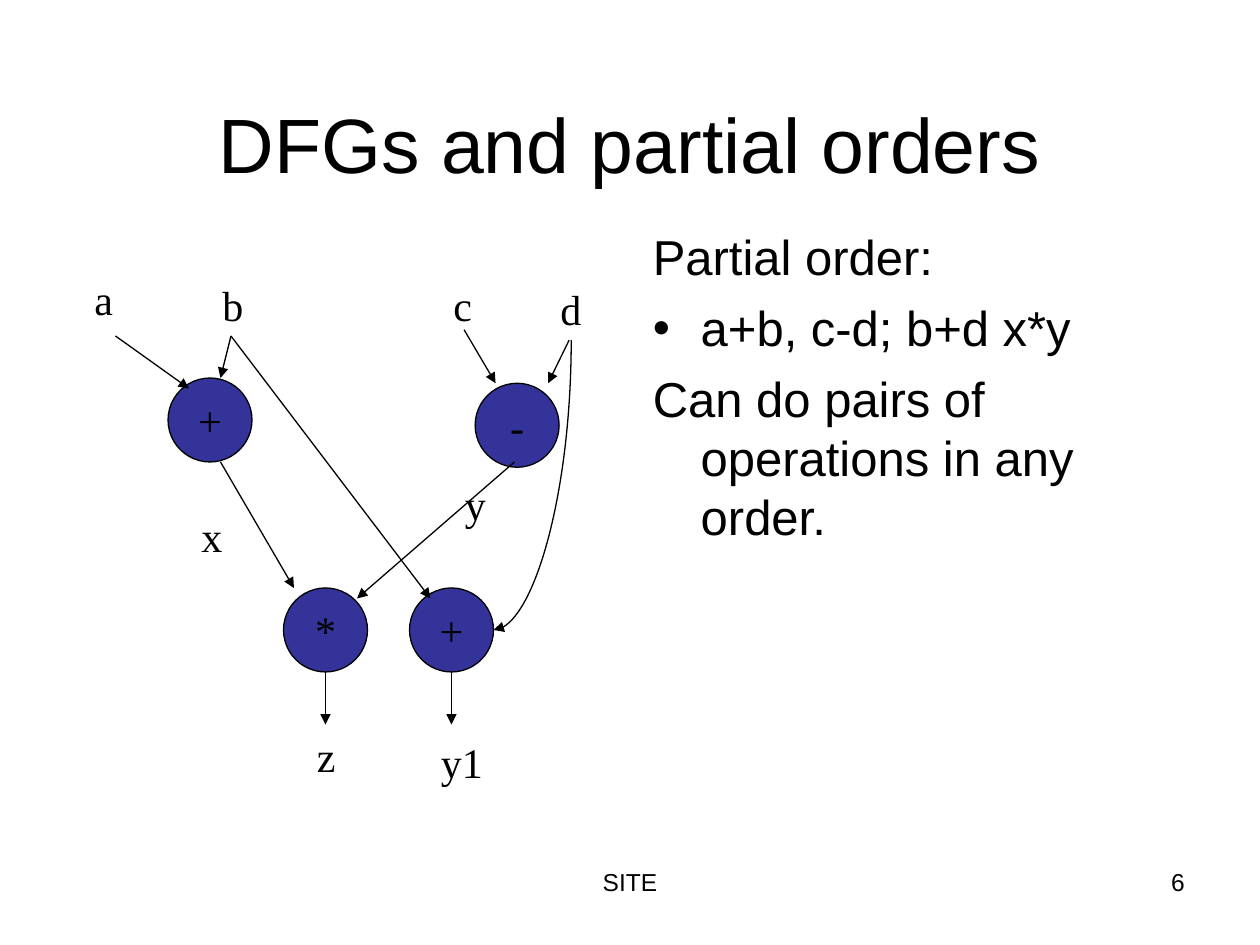
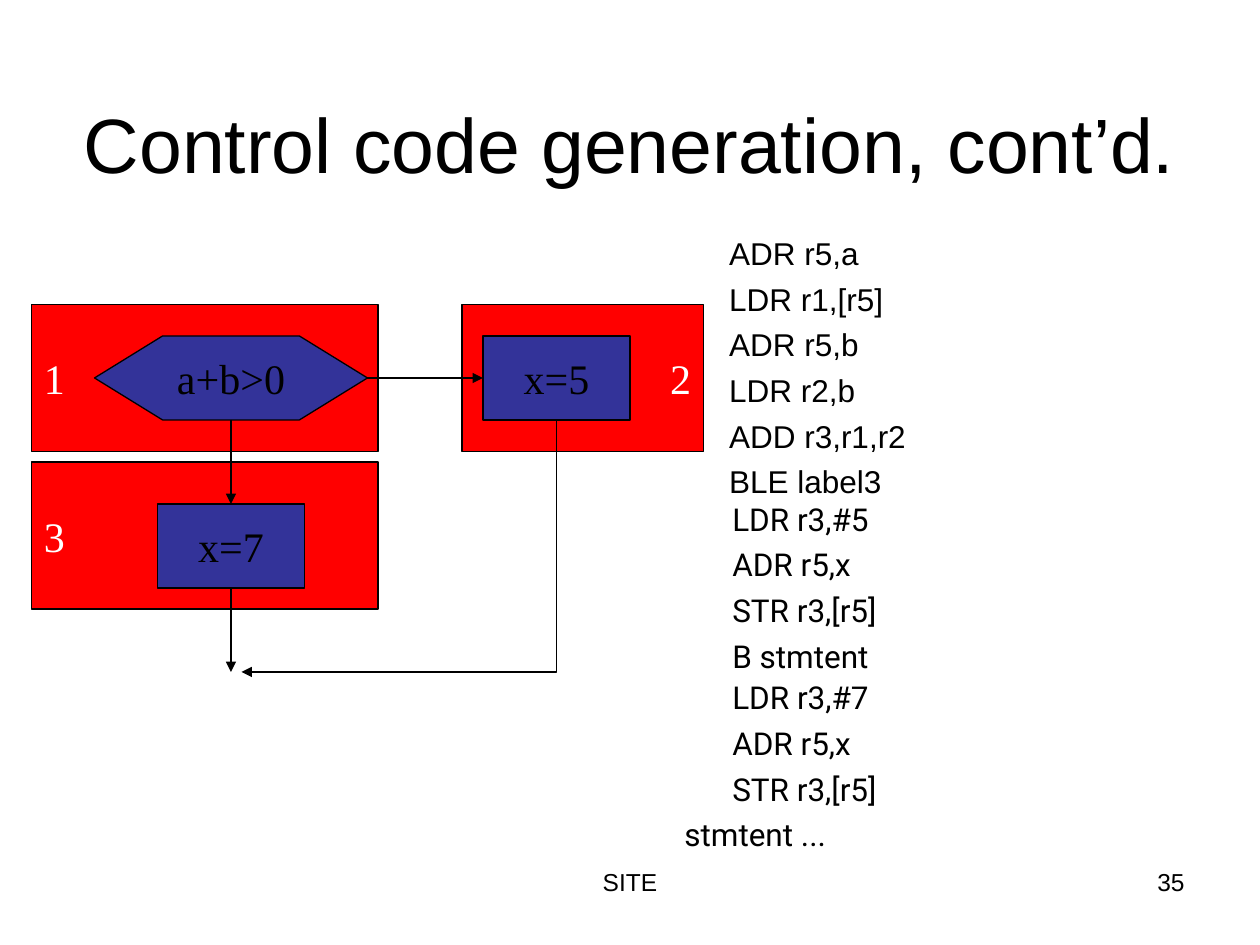
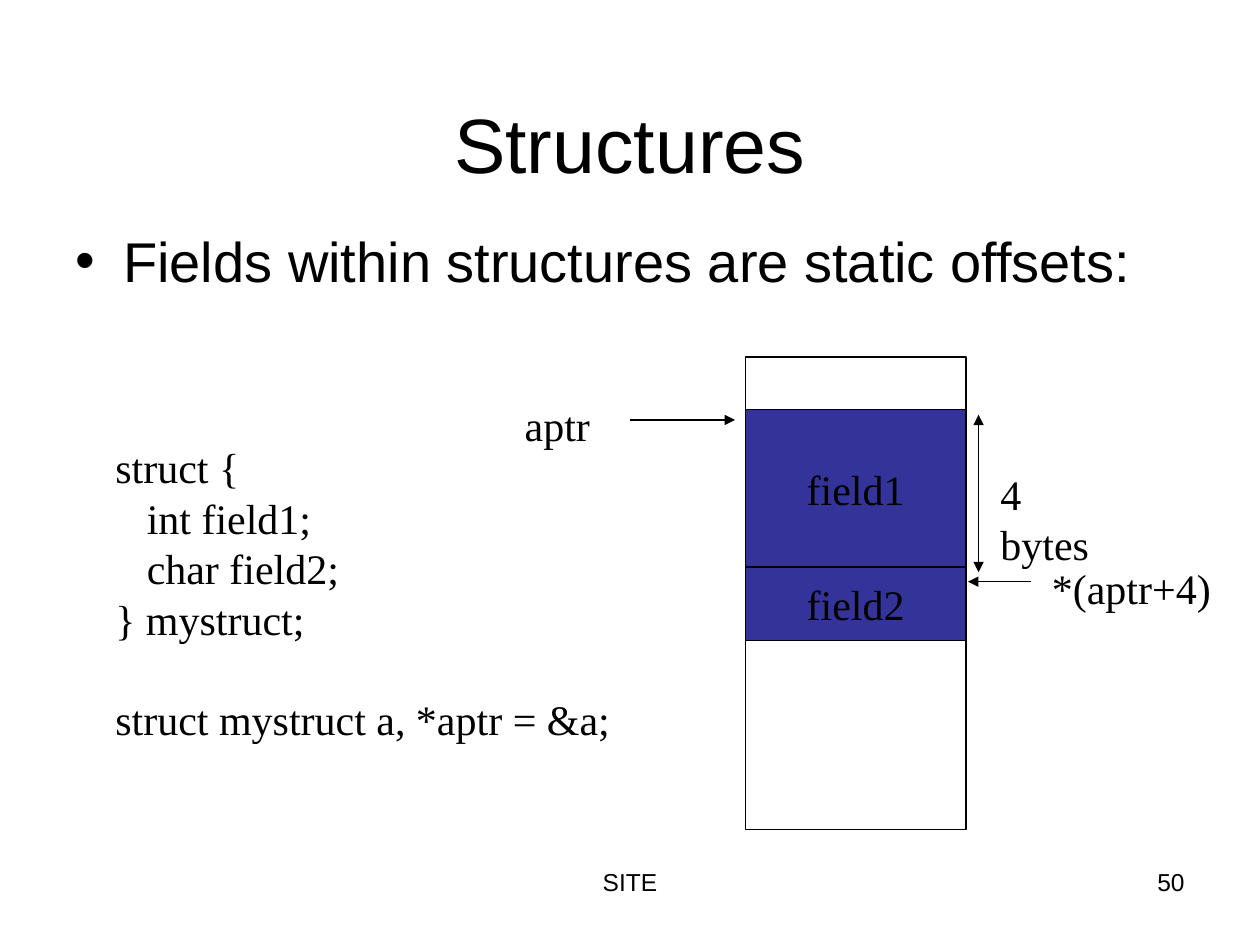
from dataclasses import dataclass
from typing import NamedTuple

from lxml import etree
from pptx import Presentation
from pptx.dml.color import RGBColor
from pptx.enum.shapes import MSO_CONNECTOR, MSO_SHAPE
from pptx.enum.text import MSO_ANCHOR, PP_ALIGN
from pptx.oxml.ns import qn
from pptx.util import Inches, Pt

LEFT, CENTER, RIGHT = PP_ALIGN.LEFT, PP_ALIGN.CENTER, PP_ALIGN.RIGHT
TOP, MIDDLE, BOTTOM = MSO_ANCHOR.TOP, MSO_ANCHOR.MIDDLE, MSO_ANCHOR.BOTTOM
OVAL, RECT, HEXAGON = MSO_SHAPE.OVAL, MSO_SHAPE.RECTANGLE, MSO_SHAPE.HEXAGON
STRAIGHT, BENT, CURVE = MSO_CONNECTOR.STRAIGHT, MSO_CONNECTOR.ELBOW, MSO_CONNECTOR.CURVE

WIDTH, HEIGHT = Inches(10), Inches(7.5)
COLS, ROWS = 120, 90
HANG = Inches(0.38)


@dataclass(frozen=True)
class Theme:
    ink: RGBColor = RGBColor(0, 0, 0)
    paper: RGBColor = RGBColor(255, 255, 255)
    node: RGBColor = RGBColor(0x33, 0x33, 0x99)
    block: RGBColor = RGBColor(255, 0, 0)
    sans: str = "Arial"
    serif: str = "Times New Roman"
    code: str = "Roboto"
    title: float = 44
    lead: float = 32
    body: float = 28
    label: float = 24
    list: float = 18
    foot: float = 14
    stroke: float = 0.75
    leading: float = 1.2


THEME = Theme()


class Box(NamedTuple):
    col: float
    row: float
    cols: float
    rows: float


class Point(NamedTuple):
    col: float
    row: float


class Style(NamedTuple):
    font: str
    size: float
    color: RGBColor = THEME.ink
    align: PP_ALIGN = LEFT
    anchor: MSO_ANCHOR = TOP
    gap: float = 0
    wrap: bool = True


class Line(NamedTuple):
    text: str
    inset: int = 0
    first: int = 0
    bullet: bool = False
    gap: float = 0


class Node(NamedTuple):
    text: str
    box: Box
    kind: MSO_SHAPE = RECT


class Link(NamedTuple):
    start: Point
    end: Point
    double: bool = False


TITLE = Style(THEME.sans, THEME.title, align=CENTER, anchor=BOTTOM)
FOOT = Style(THEME.sans, THEME.foot, align=CENTER)
PAGE = FOOT._replace(align=RIGHT)
BODY = Style(THEME.sans, THEME.body, gap=7)
LEAD = Style(THEME.sans, THEME.lead)
LIST = Style(THEME.sans, THEME.list, gap=4.5)
CODE = LIST._replace(font=THEME.code)
LABEL = Style(THEME.serif, THEME.label, wrap=False)
NODE = Style(THEME.serif, THEME.label, align=CENTER, anchor=MIDDLE)
BLOCK = NODE._replace(color=THEME.paper, align=LEFT)


def across(cols: float) -> int:
    return round(WIDTH * cols / COLS)


def down(rows: float) -> int:
    return round(HEIGHT * rows / ROWS)


def place(box: Box) -> tuple[int, int, int, int]:
    return across(box.col), down(box.row), across(box.cols), down(box.rows)


def add_bullet(para) -> None:
    props = para._p.get_or_add_pPr()
    etree.SubElement(props, qn("a:buFont"), typeface=THEME.sans)
    etree.SubElement(props, qn("a:buChar"), char="•")


def set_text(frame, lines: list[Line], style: Style) -> None:
    frame.word_wrap = style.wrap
    frame.vertical_anchor = style.anchor
    for index, line in enumerate(lines):
        para = frame.add_paragraph() if index else frame.paragraphs[0]
        para.text = line.text
        props = para._p.get_or_add_pPr()
        props.set("marL", str(line.inset))
        props.set("indent", str(line.first))
        if line.bullet:
            add_bullet(para)
        para.alignment = style.align
        para.line_spacing = Pt(style.size * THEME.leading)
        para.space_before = Pt((line.gap or style.gap) if index else 0)
        for run in para.runs:
            run.font.name = style.font
            run.font.size = Pt(style.size)
            run.font.color.rgb = style.color


def add_text(slide, box: Box, lines: list[Line], style: Style) -> None:
    set_text(slide.shapes.add_textbox(*place(box)).text_frame, lines, style)


def add_labels(slide, labels: list[Node]) -> None:
    for label in labels:
        add_text(slide, label.box, [Line(label.text)], LABEL)


def add_node(slide, node: Node, fill: RGBColor | None = THEME.node, style: Style = NODE):
    shape = slide.shapes.add_shape(node.kind, *place(node.box))
    shape.shadow.inherit = False
    if fill is None:
        shape.fill.background()
    else:
        shape.fill.solid()
        shape.fill.fore_color.rgb = fill
    shape.line.color.rgb = THEME.ink
    shape.line.width = Pt(THEME.stroke)
    if node.text:
        set_text(shape.text_frame, [Line(node.text)], style)
    return shape


def add_link(slide, link: Link, kind: MSO_CONNECTOR = STRAIGHT):
    (left, top), (right, base) = link.start, link.end
    wire = slide.shapes.add_connector(
        kind, across(left), down(top), across(right), down(base))
    wire.line.color.rgb = THEME.ink
    wire.line.width = Pt(THEME.stroke)
    stroke = wire.line._get_or_add_ln()
    if link.double:
        etree.SubElement(stroke, qn("a:headEnd"), type="triangle")
    etree.SubElement(stroke, qn("a:tailEnd"), type="triangle")
    etree.SubElement(wire._element.spPr, qn("a:effectLst"))
    return wire


def add_turn(slide, link: Link, kind: MSO_CONNECTOR, preset: str) -> None:
    mid_col = (link.start.col + link.end.col) / 2
    mid_row = (link.start.row + link.end.row) / 2
    half_run = (link.end.row - link.start.row) / 2
    half_rise = (link.start.col - link.end.col) / 2
    wire = add_link(slide, Link(Point(mid_col - half_run, mid_row - half_rise),
                                Point(mid_col + half_run, mid_row + half_rise)), kind)
    props = wire._element.spPr
    props.find(qn("a:xfrm")).set("rot", "5400000")
    props.find(qn("a:prstGeom")).set("prst", preset)


def add_frame(deck, title: str, page: int):
    slide = deck.slides.add_slide(deck.slide_layouts[6])
    add_text(slide, Box(41, 82, 38, 6.2), [Line("SITE")], FOOT)
    add_text(slide, Box(86, 82, 28, 6.2), [Line(str(page))], PAGE)
    add_text(slide, Box(6, 3.6, 108, 15), [Line(title)], TITLE)
    return slide


def add_orders(deck) -> None:
    slide = add_frame(deck, "DFGs and partial orders", 6)
    add_text(slide, Box(61, 21, 53, 59.4), [
        Line("Partial order:", HANG, -HANG),
        Line("a+b, c-d; b+d x*y", HANG, -HANG, bullet=True),
        Line("Can do pairs of operations in any order.", HANG, -HANG),
    ], BODY)
    for sign, col, row in [("+", 16, 36), ("-", 45.25, 36.5), ("+", 39, 56), ("*", 27, 56)]:
        add_node(slide, Node(sign, Box(col, row, 8, 8), OVAL))
    add_labels(slide, [Node(name, Box(col, row, 2.2 + 2.1 * len(name), 6)) for name, col, row in [
        ("a", 7.8, 25.5), ("b", 20, 26), ("c", 42, 26), ("d", 52.2, 26.4),
        ("x", 18, 48), ("y", 43.1, 45), ("z", 29, 69), ("y1", 40.8, 69.6),
    ]])
    for start, end in [
        ((11, 32), (18, 37)), ((22, 32), (21, 36)), ((21, 44), (28, 56)),
        ((44.2, 31.4), (47.2, 36.5)), ((54.2, 32.4), (52.2, 36.5)),
        ((49, 44), (34, 57)), ((22, 32), (41, 57)),
        ((31, 64), (31, 69)), ((43, 64), (43, 69)),
    ]:
        add_link(slide, Link(Point(*start), Point(*end)))
    add_turn(slide, Link(Point(54.4, 32.4), Point(47, 60)), CURVE, "curvedConnector2")


def add_control(deck) -> None:
    slide = add_frame(deck, "Control code generation, cont’d.", 35)
    for name, box, align in [
        ("3", Box(3, 44, 33, 14), LEFT),
        ("2", Box(44, 29, 23, 14), RIGHT),
        ("1", Box(3, 29, 33, 14), LEFT),
    ]:
        add_node(slide, Node(name, box), THEME.block, BLOCK._replace(align=align))
    test = add_node(slide, Node("a+b>0", Box(9, 32, 26, 8), HEXAGON))
    test.adjustments[0] = 0.81
    add_node(slide, Node("x=5", Box(46, 32, 14, 8)))
    add_node(slide, Node("x=7", Box(15, 48, 14, 8)))
    for start, end in [((35, 36), (46, 36)), ((22, 40), (22, 48)), ((22, 56), (22, 64))]:
        add_link(slide, Link(Point(*start), Point(*end)))
    add_turn(slide, Link(Point(53, 40), Point(23, 64)), BENT, "bentConnector2")
    for box, style, steps, tail in [
        (Box(63.7, 21.7, 52.7, 26.3), LIST,
         ["ADR r5,a", "LDR r1,[r5]", "ADR r5,b", "LDR r2,b", "ADD r3,r1,r2", "BLE label3"], []),
        (Box(64, 47, 52.7, 18), CODE,
         ["LDR r3,#5", "ADR r5,x", "STR r3,[r5]", "B stmtent"], []),
        (Box(64, 64, 52.7, 18), CODE,
         ["LDR r3,#7", "ADR r5,x", "STR r3,[r5]"], ["stmtent ..."]),
    ]:
        lines = [Line(step, HANG) for step in steps] + [Line(text) for text in tail]
        add_text(slide, box, lines, style)


def add_structs(deck) -> None:
    slide = add_frame(deck, "Structures", 50)
    add_text(slide, Box(6, 21, 108, 9), [
        Line("Fields within structures are static offsets:", HANG, -HANG, bullet=True),
    ], LEAD)
    add_node(slide, Node("field1", Box(71, 39, 21, 15)))
    add_node(slide, Node("field2", Box(71, 54, 21, 7)))
    add_node(slide, Node("", Box(71, 34, 21, 45)), None)
    add_text(slide, Box(9.8, 41.5, 49.6, 34.8), [
        Line("struct {"),
        Line("   int field1;"),
        Line("   char field2;"),
        Line("} mystruct;"),
        Line("struct mystruct a, *aptr = &a;", gap=THEME.label * THEME.leading),
    ], LABEL)
    add_labels(slide, [
        Node("aptr", Box(48.8, 37.5, 8.7, 6)),
        Node("4 bytes", Box(94.1, 44, 13.8, 6)),
        Node("*(aptr+4)", Box(99, 53, 17.5, 6)),
    ])
    for link in [
        Link(Point(60, 40), Point(70, 40)),
        Link(Point(93.2, 39.5), Point(93.2, 54.5), double=True),
        Link(Point(98.2, 55.4), Point(92.2, 55.4)),
    ]:
        add_link(slide, link)


def main() -> None:
    deck = Presentation()
    deck.slide_width, deck.slide_height = WIDTH, HEIGHT
    for build in (add_orders, add_control, add_structs):
        build(deck)
    deck.save("out.pptx")


if __name__ == "__main__":
    main()
